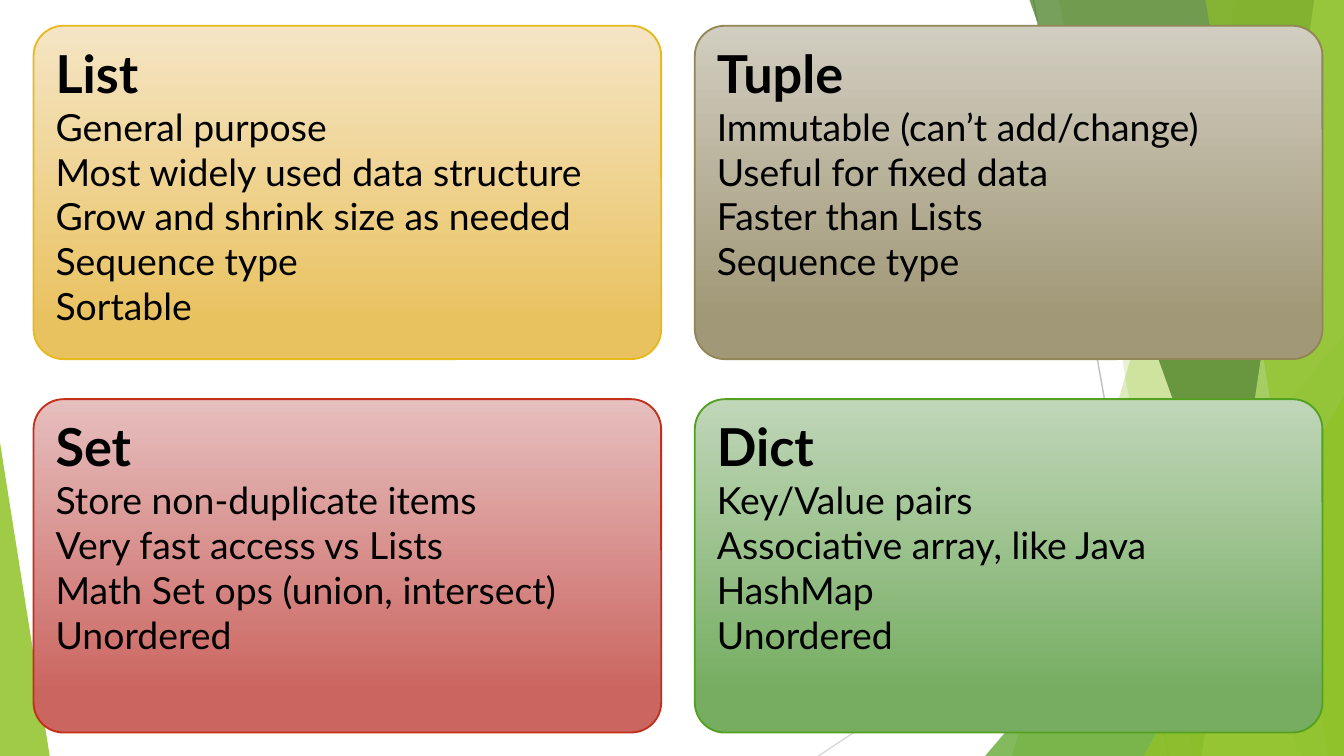
from dataclasses import dataclass

from lxml import etree
from pptx import Presentation
from pptx.dml.color import RGBColor
from pptx.enum.shapes import MSO_CONNECTOR, MSO_SHAPE
from pptx.enum.text import MSO_ANCHOR, PP_ALIGN
from pptx.oxml.ns import qn
from pptx.util import Inches, Pt

WIDTH, HEIGHT = Inches(10), Inches(5.625)
GRID = 10  # the slide is divided into 10 columns and 10 rows


@dataclass(frozen=True)
class Theme:
    font: str = "Lato"
    heading_size: int = 28
    body_size: int = 20
    text: str = "000000"
    lime: str = "90C226"
    green: str = "54A021"
    forest: str = "3F7819"
    pale_lime: str = "C0E474"
    ray_dark: str = "BFBFBF"
    ray_light: str = "D9D9D9"


THEME = Theme()

# Card grid, in columns and rows
CARD_LEFT, CARD_TOP = 0.25, 0.34
CARD_WIDTH, CARD_HEIGHT = 4.67, 4.41
CARD_STEP_X, CARD_STEP_Y = 4.92, 4.94

# Heading, points, gradient top, gradient bottom, border
CARDS = [
    ("List",
     ["General purpose", "Most widely used data structure",
      "Grow and shrink size as needed", "Sequence type", "Sortable"],
     "F5E5C5", "E9C260", "E6B91E"),
    ("Tuple",
     ["Immutable (can’t add/change)", "Useful for fixed data",
      "Faster than Lists", "Sequence type"],
     "D1CDC0", "A19877", "918655"),
    ("Set",
     ["Store non-duplicate items", "Very fast access vs Lists",
      "Math Set ops (union, intersect)", "Unordered"],
     "E6BFBE", "CB6560", "C42F1A"),
    ("Dict",
     ["Key/Value pairs", "Associative array, like Java HashMap", "Unordered"],
     "C0D6B9", "76AD61", "54A021"),
]


def col(n):
    return round(WIDTH * n / GRID)


def row(n):
    return round(HEIGHT * n / GRID)


def rgb(color):
    return RGBColor.from_string(color)


def paint_facet(facet, color, opacity):
    """Fill a facet with a see-through colour and no outline."""
    facet.shadow.inherit = False
    facet.fill.solid()
    facet.fill.fore_color.rgb = rgb(color)
    facet.line.fill.background()
    solid = facet.fill._xPr.find(qn("a:solidFill"))
    etree.SubElement(solid[0], qn("a:alpha"), val=str(opacity * 1000))


def add_ray(slide, start, end, color):
    ray = slide.shapes.add_connector(
        MSO_CONNECTOR.STRAIGHT, col(start[0]), row(start[1]), col(end[0]), row(end[1]))
    ray.line.color.rgb = rgb(color)
    ray.line.width = Pt(0.75)
    etree.SubElement(ray._element.spPr, qn("a:effectLst"))


def add_band(slide, top_x, bottom_x, color, opacity):
    """Full-height band from a slanted left edge to the right of the slide."""
    outline = slide.shapes.build_freeform(col(top_x), 0)
    outline.add_line_segments(
        [(WIDTH, 0), (WIDTH, HEIGHT), (col(bottom_x), HEIGHT)], close=True)
    paint_facet(outline.convert_to_shape(), color, opacity)


def add_corner(slide, left, right, top, tip, color, opacity):
    """Triangle standing on the bottom edge; tip 0 is left, 1 is right."""
    corner = slide.shapes.add_shape(
        MSO_SHAPE.ISOSCELES_TRIANGLE, col(left), row(top),
        col(right - left), HEIGHT - row(top))
    corner.adjustments[0] = tip
    paint_facet(corner, color, opacity)


def add_line_of_text(paragraph, text, size, bold):
    paragraph.alignment = PP_ALIGN.LEFT
    run = paragraph.add_run()
    run.text = text
    run.font.name = THEME.font
    run.font.size = Pt(size)
    run.font.bold = bold
    run.font.color.rgb = rgb(THEME.text)


def add_card(slide, index, heading, points, light, deep, border):
    grid_row, grid_col = divmod(index, 2)
    card = slide.shapes.add_shape(
        MSO_SHAPE.ROUNDED_RECTANGLE,
        col(CARD_LEFT + grid_col * CARD_STEP_X), row(CARD_TOP + grid_row * CARD_STEP_Y),
        col(CARD_WIDTH), row(CARD_HEIGHT))
    card.adjustments[0] = 0.09
    card.shadow.inherit = False

    # Gradient running downwards
    card.fill.gradient()
    card.fill.gradient_angle = 270
    for stop, position, color in zip(card.fill.gradient_stops, (0, 0.88), (light, deep)):
        stop.position = position
        stop.color.rgb = rgb(color)
    card.line.color.rgb = rgb(border)
    card.line.width = Pt(1)

    # Heading and points
    frame = card.text_frame
    frame.word_wrap = True
    frame.vertical_anchor = MSO_ANCHOR.TOP
    add_line_of_text(frame.paragraphs[0], heading, THEME.heading_size, True)
    for point in points:
        add_line_of_text(frame.add_paragraph(), point, THEME.body_size, False)


def add_backdrop(slide):
    add_ray(slide, (7.69, 0), (8.69, GRID), THEME.ray_dark)
    add_ray(slide, (GRID, 5.37), (6.09, GRID), THEME.ray_light)
    add_band(slide, 9.21, 7.53, THEME.lime, 30)
    add_band(slide, 7.88, 8.87, THEME.lime, 20)
    add_corner(slide, 7.33, GRID, 4.44, 1, THEME.green, 72)
    add_band(slide, 7.66, 9.68, THEME.forest, 70)
    add_band(slide, 9.78, 8.94, THEME.pale_lime, 70)
    add_band(slide, 8.97, 9.88, THEME.lime, 65)
    add_corner(slide, 8.51, GRID, 5.23, 1, THEME.lime, 80)
    add_corner(slide, 0, 0.37, 5.85, 0, THEME.lime, 85)


def main():
    deck = Presentation()
    deck.slide_width, deck.slide_height = WIDTH, HEIGHT
    slide = deck.slides.add_slide(deck.slide_layouts[6])
    add_backdrop(slide)
    for index, card in enumerate(CARDS):
        add_card(slide, index, *card)
    deck.save("out.pptx")


if __name__ == "__main__":
    main()
